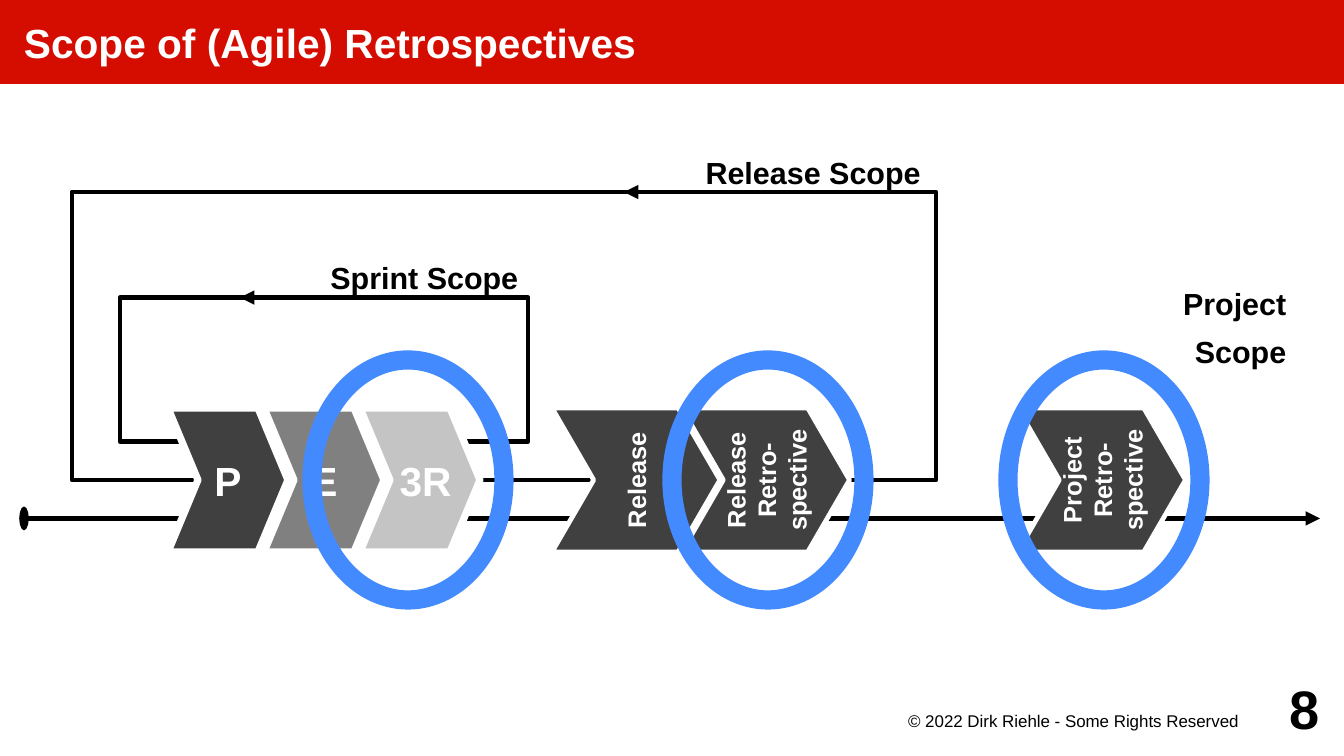
from dataclasses import dataclass
from lxml.etree import SubElement
from pptx import Presentation
from pptx.dml.color import RGBColor
from pptx.enum.shapes import MSO_CONNECTOR, MSO_SHAPE
from pptx.enum.text import MSO_ANCHOR, MSO_AUTO_SIZE, PP_ALIGN
from pptx.oxml.ns import qn
from pptx.util import Cm, Pt


@dataclass(frozen=True)
class Theme:
    font: str = "Arial"
    red: RGBColor = RGBColor(0xD5, 0x0D, 0x01)
    white: RGBColor = RGBColor(0xFF, 0xFF, 0xFF)
    black: RGBColor = RGBColor(0x00, 0x00, 0x00)
    dark: RGBColor = RGBColor(0x40, 0x40, 0x40)
    middle: RGBColor = RGBColor(0x80, 0x80, 0x80)
    light: RGBColor = RGBColor(0xC4, 0xC4, 0xC4)
    blue: RGBColor = RGBColor(0x44, 0x8A, 0xFF)
    title_size: float = 24
    scope_size: float = 18
    label_size: float = 15
    footer_size: float = 10
    number_size: float = 32
    thin: float = 2.83
    gap: float = 4.25
    ring: float = 11.34


theme = Theme()


def write(shape, lines, size, color, align, anchor, margins=(0.2, 0.2, 0.2, 0.2), bold=True):
    frame = shape.text_frame
    frame.auto_size = MSO_AUTO_SIZE.NONE
    frame.word_wrap = True
    frame.vertical_anchor = anchor
    frame.margin_left, frame.margin_top, frame.margin_right, frame.margin_bottom = map(Cm, margins)
    for index, line in enumerate(lines):
        paragraph = frame.add_paragraph() if index else frame.paragraphs[0]
        paragraph.alignment = align
        run = paragraph.add_run()
        run.text = line
        run.font.name = theme.font
        run.font.size = Pt(size)
        run.font.bold = bold
        run.font.color.rgb = color
    return frame


def add_figure(kind, left, top, width, height, line_color, line_width, fill=None):
    shape = slide.shapes.add_shape(kind, Cm(left), Cm(top), Cm(width), Cm(height))
    shape.shadow.inherit = False
    if fill is None:
        shape.fill.background()
    else:
        shape.fill.solid()
        shape.fill.fore_color.rgb = fill
    shape.line.color.rgb = line_color
    shape.line.width = Pt(line_width)
    return shape


presentation = Presentation()
presentation.slide_width = Cm(28)
presentation.slide_height = Cm(15.75)
slide = presentation.slides.add_slide(presentation.slide_layouts[5])

title = slide.shapes.title
title.left, title.top, title.width, title.height = Cm(0), Cm(0), Cm(28), Cm(1.75)
title.fill.solid()
title.fill.fore_color.rgb = theme.red
write(title, ["Scope of (Agile) Retrospectives"], theme.title_size, theme.white,
      PP_ALIGN.LEFT, MSO_ANCHOR.MIDDLE, (0.5, 0, 0, 0))

for left, top, width, height in [(1.5, 4, 18, 6), (2.5, 6.2, 8.5, 3)]:
    add_figure(MSO_SHAPE.RECTANGLE, left, top, width, height, theme.black, theme.thin)

for start, end, height, has_origin in [(15, 13, 4, False), (7, 5, 6.2, False), (0.5, 27.5, 10.8, True)]:
    arrow = slide.shapes.add_connector(MSO_CONNECTOR.STRAIGHT, Cm(start), Cm(height), Cm(end), Cm(height))
    arrow.line.color.rgb = theme.black
    arrow.line.width = Pt(theme.thin)
    outline = arrow.line._get_or_add_ln()
    if has_origin:
        SubElement(outline, qn("a:headEnd"), type="oval", w="lg", len="sm")
    SubElement(outline, qn("a:tailEnd"), type="triangle", w="med", len="med")
    SubElement(arrow._element.spPr, qn("a:effectLst"))

retrospective = ["Retro-", "spective"]
for left, lines, anchor, top_margin in [
    (11.5, ["Release"], MSO_ANCHOR.MIDDLE, 0.8),
    (14.2, ["Release"] + retrospective, MSO_ANCHOR.BOTTOM, 0.2),
    (21.2, ["Project"] + retrospective, MSO_ANCHOR.BOTTOM, 0.2),
]:
    chevron = add_figure(MSO_SHAPE.CHEVRON, left, 8.5, 3.5, 3, theme.white, theme.thin, theme.dark)
    chevron.adjustments[0] = 0.29
    label = slide.shapes.add_textbox(Cm(left - 0.05), Cm(8.54), Cm(3), Cm(2.92))
    label.rotation = 270
    write(label, lines, theme.label_size, theme.white, PP_ALIGN.CENTER, anchor, (0.2, top_margin, 0.2, 0.2))

for index, (text, fill) in enumerate([("P", theme.dark), ("E", theme.middle), (" 3R", theme.light)]):
    chevron = add_figure(MSO_SHAPE.CHEVRON, 3.5 + 2 * index, 8.5, 2.5, 3, theme.white, theme.gap, fill)
    chevron.adjustments[0] = 0.25
    frame = write(chevron, [text], theme.title_size, theme.white, PP_ALIGN.CENTER, MSO_ANCHOR.MIDDLE)
    frame.word_wrap = False

for left in (6.5, 14, 21):
    add_figure(MSO_SHAPE.OVAL, left, 7.5, 4, 5, theme.blue, theme.ring)

for text, left, top, align in [
    ("Release Scope", 14.5, 3, PP_ALIGN.LEFT),
    ("Sprint Scope", 6, 5.2, PP_ALIGN.RIGHT),
]:
    scope = slide.shapes.add_textbox(Cm(left), Cm(top), Cm(5), Cm(2))
    write(scope, [text], theme.scope_size, theme.black, align, MSO_ANCHOR.TOP)

project_scope = slide.shapes.add_textbox(Cm(24.3), Cm(5.5), Cm(2.7), Cm(2.6))
frame = write(project_scope, ["Project", "Scope"], theme.scope_size, theme.black,
              PP_ALIGN.RIGHT, MSO_ANCHOR.MIDDLE)
for paragraph in frame.paragraphs:
    paragraph.line_spacing = Pt(22.7)
    paragraph.space_after = Pt(5.7)

copyright_line = slide.shapes.add_textbox(Cm(18), Cm(14.75), Cm(8), Cm(0.75))
write(copyright_line, ["© 2022 Dirk Riehle - Some Rights Reserved"], theme.footer_size, theme.black,
      PP_ALIGN.RIGHT, MSO_ANCHOR.TOP, (0, 0.05, 0.2, 0), bold=False)

page_number = slide.shapes.add_textbox(Cm(25.5), Cm(14), Cm(2), Cm(1.5))
write(page_number, ["8"], theme.number_size, theme.black, PP_ALIGN.RIGHT, MSO_ANCHOR.MIDDLE, (0, 0, 0, 0))

presentation.save("out.pptx")
